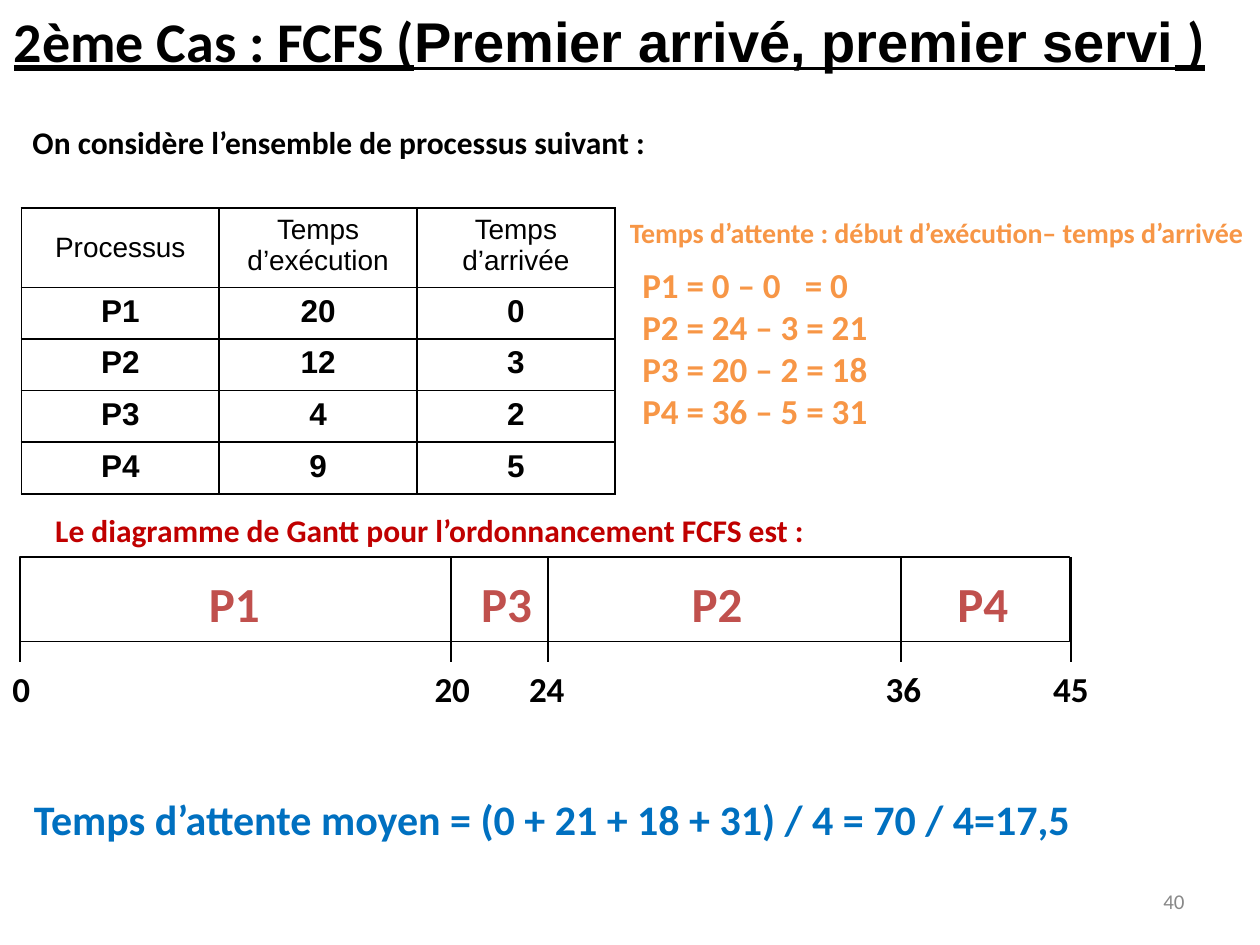
import pptx
import pptx.dml.color
import pptx.enum.shapes
import pptx.enum.text
import pptx.oxml
import pptx.oxml.ns
import pptx.util
from dataclasses import dataclass
from pptx.util import Inches


@dataclass
class Theme:
    black: str = "000000"
    white: str = "FFFFFF"
    orange: str = "F79646"
    brick: str = "C0504D"
    red: str = "C00000"
    blue: str = "0070C0"
    gray: str = "888888"
    main: str = "Calibri"
    grid: str = "Arial"
    title: int = 32
    job: int = 28
    mean: int = 24
    wait: int = 20
    lead: int = 18
    head: int = 16
    foot: int = 12


theme = Theme()
rgb = pptx.dml.color.RGBColor.from_string
align = pptx.enum.text.PP_ALIGN
anchor = pptx.enum.text.MSO_ANCHOR
qn = pptx.oxml.ns.qn


def add_run(para, text, size, color=theme.black, font=theme.main, bold=True):
    run = para.add_run()
    run.text = text
    run.font.size = pptx.util.Pt(size)
    run.font.name = font
    run.font.bold = bold
    run.font.color.rgb = rgb(color)
    return run


def add_text(text, left, top, width, height, size, color, bold=True):
    box = slide.shapes.add_textbox(Inches(left), Inches(top), Inches(width), Inches(height))
    box.text_frame.word_wrap = width > 1
    para = box.text_frame.paragraphs[0]
    add_run(para, text, size, color, bold=bold)
    return box.text_frame


deck = pptx.Presentation()
deck.slide_width = Inches(10)
deck.slide_height = Inches(7.5)
slide = deck.slides.add_slide(deck.slide_layouts[5])

title = slide.shapes.title
title.left, title.top = Inches(0.01), Inches(0)
title.width, title.height = Inches(10), Inches(1.61)
frame = title.text_frame
frame.auto_size = pptx.enum.text.MSO_AUTO_SIZE.NONE
frame.vertical_anchor = anchor.TOP
para = frame.paragraphs[0]
para.alignment = align.LEFT
for text, font, bold in (
    ("2ème Cas : FCFS (", theme.main, True),
    ("Premier arrivé, premier servi", theme.grid, True),
    (" ", theme.main, False),
    (")", theme.main, True),
):
    add_run(para, text, theme.title, font=font, bold=bold).font.underline = True

rows = (
    ("Processus", "Temps d’exécution", "Temps d’arrivée"),
    ("P1", "20", "0"),
    ("P2", "12", "3"),
    ("P3", "4", "2"),
    ("P4", "9", "5"),
)
table = slide.shapes.add_table(
    5, 3, Inches(0.17), Inches(1.65), Inches(4.71), Inches(2.26)
).table
table.horz_banding = False
for col in table.columns:
    col.width = Inches(1.57)
for r, row in enumerate(rows):
    table.rows[r].height = Inches(0.41 if r else 0.63)
    for c, text in enumerate(row):
        cell = table.cell(r, c)
        cell.fill.solid()
        cell.fill.fore_color.rgb = rgb(theme.white)
        if r == c == 0:
            cell.vertical_anchor = anchor.MIDDLE
        para = cell.text_frame.paragraphs[0]
        para.alignment = align.CENTER
        size = theme.lead if r else theme.head
        add_run(para, text, size, font=theme.grid, bold=r > 0)
        props = cell._tc.get_or_add_tcPr()
        for i, side in enumerate(("lnL", "lnR", "lnT", "lnB")):
            props.insert(i, pptx.oxml.parse_xml(
                f'<a:{side} xmlns:a="http://schemas.openxmlformats.org/drawingml/2006/main"'
                f' w="12700"><a:solidFill><a:srgbClr val="{theme.black}"/></a:solidFill></a:{side}>'
            ))

bar = slide.shapes.add_shape(
    pptx.enum.shapes.MSO_SHAPE.RECTANGLE,
    Inches(0.16), Inches(4.42), Inches(8.33), Inches(0.67),
)
bar.shadow.inherit = False
bar.fill.solid()
bar.fill.fore_color.rgb = rgb(theme.white)
bar.line.color.rgb = rgb(theme.black)
bar.line.width = pptx.util.Pt(0.75)

for x, text, left, width in (
    (0.16, "0", 0, 0.34),
    (3.58, "20", 3.35, 0.49),
    (4.35, "24", 4.1, 0.49),
    (7.15, "36", 6.93, 0.49),
    (8.5, "45", 8.26, 0.49),
):
    tick = slide.shapes.add_connector(
        pptx.enum.shapes.MSO_CONNECTOR.STRAIGHT,
        Inches(x), Inches(4.42), Inches(x), Inches(5.25),
    )
    tick.line.color.rgb = rgb(theme.black)
    tick.line.width = pptx.util.Pt(0.75)
    tick._element.spPr.append(pptx.oxml.xmlchemy.OxmlElement("a:effectLst"))
    add_text(text, left, 5.25, width, 0.44, theme.wait, theme.black)

for text, left in (("P1", 1.56), ("P3", 3.72), ("P2", 5.39), ("P4", 7.5)):
    add_text(text, left, 4.5, 0.61, 0.57, theme.job, theme.brick)

add_text("Temps d’attente : début d’exécution– temps d’arrivée",
         4.9, 1.66, 5.14, 0.37, theme.head, theme.orange)
for i, text in enumerate((
    "P1 = 0 – 0\t= 0",
    "P2 = 24 – 3 = 21",
    "P3 = 20 – 2 = 18",
    "P4 = 36 – 5 = 31",
)):
    frame = add_text(text, 5, 2.04 + i / 3, 2.5, 0.44, theme.wait, theme.orange)
    if "\t" in text:
        props = frame.paragraphs[0]._p.get_or_add_pPr()
        tabs = pptx.oxml.xmlchemy.OxmlElement("a:tabLst")
        stop = pptx.oxml.xmlchemy.OxmlElement("a:tab")
        stop.set("pos", str(Inches(1.29)))
        stop.set("algn", "l")
        tabs.append(stop)
        props.append(tabs)

add_text("Temps d’attente moyen = (0 + 21 + 18 + 31) / 4 = 70 / 4=17,5",
         0.17, 6.25, 9.08, 0.5, theme.mean, theme.blue)
add_text("On considère l’ensemble de processus suivant :",
         0.16, 0.93, 5.67, 0.4, theme.lead, theme.black)
add_text("Le diagramme de Gantt pour l’ordonnancement FCFS est :",
         0.34, 4.01, 7.07, 0.4, theme.lead, theme.red)
frame = add_text("40", 7.17, 6.95, 2.33, 0.4, theme.foot, theme.gray, False)
frame.vertical_anchor = anchor.MIDDLE
frame.paragraphs[0].alignment = align.RIGHT

deck.save("out.pptx")
